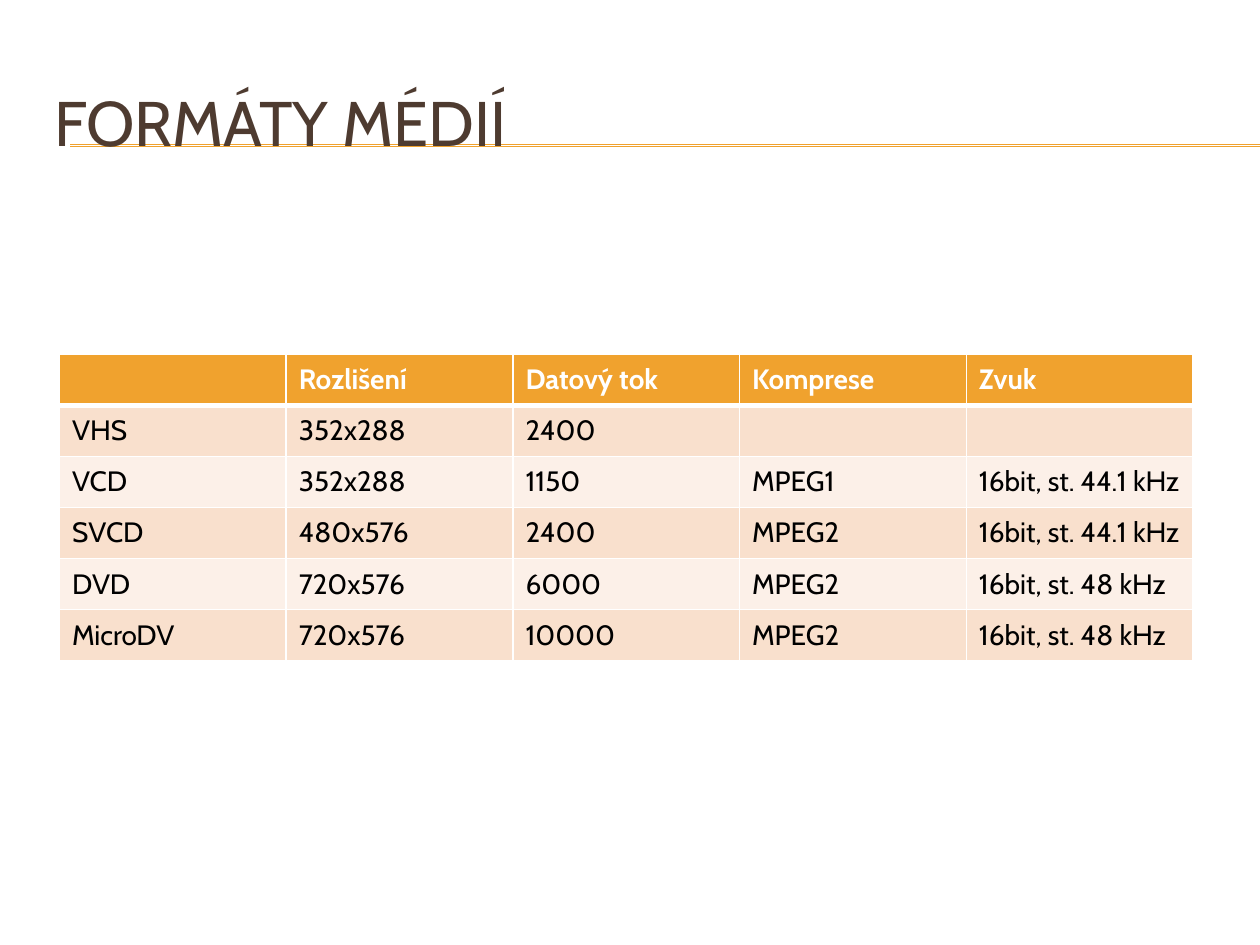
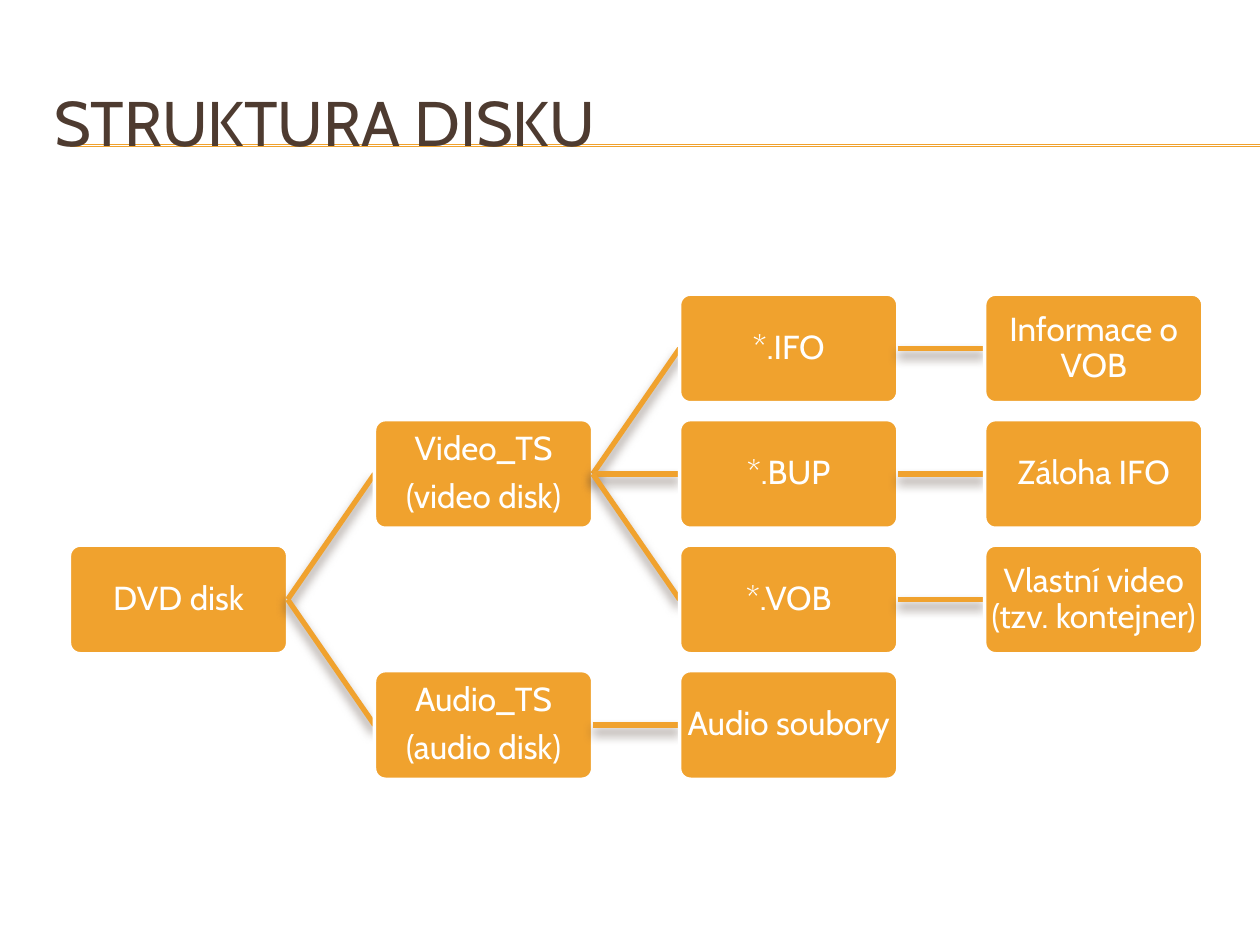
"""Build two slides: a table of media formats and a tree of the DVD disk structure."""
from dataclasses import dataclass
from typing import Any

from lxml.etree import SubElement
from pptx import Presentation
from pptx.dml.color import RGBColor
from pptx.enum.shapes import MSO_CONNECTOR, MSO_SHAPE
from pptx.enum.text import MSO_ANCHOR as ANCHOR, PP_ALIGN as ALIGN
from pptx.oxml import parse_xml
from pptx.oxml.ns import nsdecls, qn
from pptx.util import Cm, Length, Pt

AMBER = RGBColor(0xF0, 0xA2, 0x2E)
BROWN = RGBColor(0x4E, 0x3B, 0x30)
WHITE = RGBColor(0xFF, 0xFF, 0xFF)
BLACK = RGBColor(0x00, 0x00, 0x00)
BAND_DARK = RGBColor(0xF9, 0xE0, 0xCD)
BAND_LIGHT = RGBColor(0xFC, 0xF0, 0xE8)

SLIDE_W, SLIDE_H = Cm(25.4), Cm(19.05)
RULE_LEFT, RULE_TOPS = Cm(1.42), (Cm(2.92), Cm(2.95))

TABLE_LEFT, TABLE_TOP = Cm(1.2), Cm(7.14)
COL_W, ROW_H = Cm(4.57), Cm(1.03)

TREE_LEFT, TREE_TOP = Cm(1.4), Cm(5.93)
NODE_W, NODE_H = Cm(4.4), Cm(2.19)
PITCH_X, PITCH_Y = Cm(6.15), Cm(2.53)

TITLE_FONT = {"name": "Cabin", "size": Pt(36), "bold": False}
HEAD_FONT = {"name": "Cabin", "size": Pt(16), "bold": True}
CELL_FONT = {"name": "Cabin", "size": Pt(16), "bold": False}
NODE_FONT = {"name": "Cabin", "size": Pt(19), "bold": False}
NODE_FRAME = {"word_wrap": True, "vertical_anchor": ANCHOR.MIDDLE}
NODE_FRAME |= {f"margin_{side}": Cm(0.03) for side in ("left", "right", "top", "bottom")}
NODE_PARA = {"alignment": ALIGN.CENTER, "line_spacing": 0.9, "space_after": Pt(7)}

FORMATS = (
    ("", "Rozlišení", "Datový tok", "Komprese", "Zvuk"),
    ("VHS", "352x288", "2400", "", ""),
    ("VCD", "352x288", "1150", "MPEG1", "16bit, st. 44.1 kHz"),
    ("SVCD", "480x576", "2400", "MPEG2", "16bit, st. 44.1 kHz"),
    ("DVD", "720x576", "6000", "MPEG2", "16bit, st. 48 kHz"),
    ("MicroDV", "720x576", "10000", "MPEG2", "16bit, st. 48 kHz"),
)


@dataclass(frozen=True)
class Node:
    """A box of the tree with its lines of text and its children."""

    lines: tuple[str, ...]
    children: tuple["Node", ...] = ()

    @property
    def leaves(self) -> int:
        """Number of rows the branch takes."""
        return sum(c.leaves for c in self.children) or 1

    def row(self, first: int) -> float:
        """Row of the box, midway between its first and last child."""
        if not self.children:
            return first
        last = self.children[-1]
        last_first = first + self.leaves - last.leaves
        return (self.children[0].row(first) + last.row(last_first)) / 2


DISK = Node(("DVD disk",), (
    Node(("Video_TS", "(video disk)"), (
        Node(("*.IFO",), (Node(("Informace o VOB",)),)),
        Node(("*.BUP",), (Node(("Záloha IFO",)),)),
        Node(("*.VOB",), (Node(("Vlastní video (tzv. kontejner)",)),)),
    )),
    Node(("Audio_TS", "(audio disk)"), (Node(("Audio soubory",)),)),
))


def apply(obj: Any, fmt: dict[str, Any]) -> None:
    """Set each attribute named in the format."""
    for name, value in fmt.items():
        setattr(obj, name, value)


def add_run(p: Any, text: str, font: dict[str, Any], color: RGBColor) -> None:
    """Append a formatted run to a paragraph."""
    r = p.add_run()
    r.text = text
    apply(r.font, font)
    r.font.color.rgb = color


def add_line(s: Any, start: tuple[Length, Length], end: tuple[Length, Length],
             width: float, shadow: bool = False) -> None:
    """Draw a straight amber line, with a soft shadow on request."""
    line = s.shapes.add_connector(MSO_CONNECTOR.STRAIGHT, *start, *end)
    line.line.color.rgb = AMBER
    line.line.width = Pt(width)
    effects = SubElement(line._element.spPr, qn("a:effectLst"))
    if shadow:
        effects.append(parse_xml(
            f'<a:outerShdw {nsdecls("a")} blurRad="{Pt(6)}" dist="{Pt(4)}" dir="5400000" '
            f'rotWithShape="0"><a:srgbClr val="{BROWN}"><a:alpha val="60000"/>'
            '</a:srgbClr></a:outerShdw>'))


def add_slide(prs: Any, title: str) -> Any:
    """Add a blank slide with the double rule and the title."""
    s = prs.slides.add_slide(prs.slide_layouts[6])
    for top in RULE_TOPS:
        add_line(s, (RULE_LEFT, top), (SLIDE_W, top), 0.75)
    tf = s.shapes.add_textbox(Cm(0.84), Cm(1.27), Cm(24.13), Cm(2.34)).text_frame
    apply(tf, {"word_wrap": True, "vertical_anchor": ANCHOR.MIDDLE})
    add_run(tf.paragraphs[0], title, TITLE_FONT, BROWN)
    return s


def set_borders(cell: Any, widths: dict[str, float]) -> None:
    """Give a cell white borders of the given widths, by side."""
    tc_pr = cell._tc.get_or_add_tcPr()
    for i, (side, width) in enumerate(widths.items()):
        tc_pr.insert(i, parse_xml(
            f'<a:ln{side} {nsdecls("a")} w="{Pt(width)}"><a:solidFill>'
            f'<a:srgbClr val="{WHITE}"/></a:solidFill></a:ln{side}>'))


def add_formats_table(s: Any) -> None:
    """Draw the banded table of formats."""
    rows, cols = len(FORMATS), len(FORMATS[0])
    table = s.shapes.add_table(rows, cols, TABLE_LEFT, TABLE_TOP,
                               COL_W * cols, ROW_H * rows).table
    for col in table.columns:
        col.width = COL_W
    for i, texts in enumerate(FORMATS):
        table.rows[i].height = ROW_H
        head = i == 0
        fill = AMBER if head else BAND_DARK if i % 2 else BAND_LIGHT
        for j, text in enumerate(texts):
            cell = table.cell(i, j)
            cell.vertical_anchor = ANCHOR.MIDDLE
            cell.fill.solid()
            cell.fill.fore_color.rgb = fill
            set_borders(cell, {"L": 1, "R": 1, "T": 3 if i == 1 else 1, "B": 3 if head else 1})
            if text:
                add_run(cell.text_frame.paragraphs[0], text,
                        HEAD_FONT if head else CELL_FONT, WHITE if head else BLACK)


def add_box(s: Any, lines: tuple[str, ...], x: Length, y: Length) -> None:
    """Draw one rounded box with centred text."""
    sp = s.shapes.add_shape(MSO_SHAPE.ROUNDED_RECTANGLE, x, y, NODE_W, NODE_H)
    sp.adjustments[0] = 0.1
    sp.shadow.inherit = False
    sp.fill.solid()
    sp.fill.fore_color.rgb = AMBER
    sp.line.color.rgb = WHITE
    sp.line.width = Pt(2)
    tf = sp.text_frame
    apply(tf, NODE_FRAME)
    for i, text in enumerate(lines):
        p = tf.add_paragraph() if i else tf.paragraphs[0]
        apply(p, NODE_PARA)
        add_run(p, text, NODE_FONT, WHITE)


def add_branch(s: Any, node: Node, level: int = 0, first: int = 0) -> None:
    """Draw a box, then the link and the branch of each child."""
    x = TREE_LEFT + level * PITCH_X
    y = TREE_TOP + int(node.row(first) * PITCH_Y)
    add_box(s, node.lines, x, y)
    for child in node.children:
        child_y = TREE_TOP + int(child.row(first) * PITCH_Y)
        add_line(s, (x + NODE_W, y + NODE_H // 2),
                 (x + PITCH_X, child_y + NODE_H // 2), 3, shadow=True)
        add_branch(s, child, level + 1, first)
        first += child.leaves


def main() -> None:
    """Build and save the presentation."""
    prs = Presentation()
    apply(prs, {"slide_width": SLIDE_W, "slide_height": SLIDE_H})
    add_formats_table(add_slide(prs, "FORMÁTY MÉDIÍ"))
    add_branch(add_slide(prs, "STRUKTURA DISKU"), DISK)
    prs.save("out.pptx")


if __name__ == "__main__":
    main()
